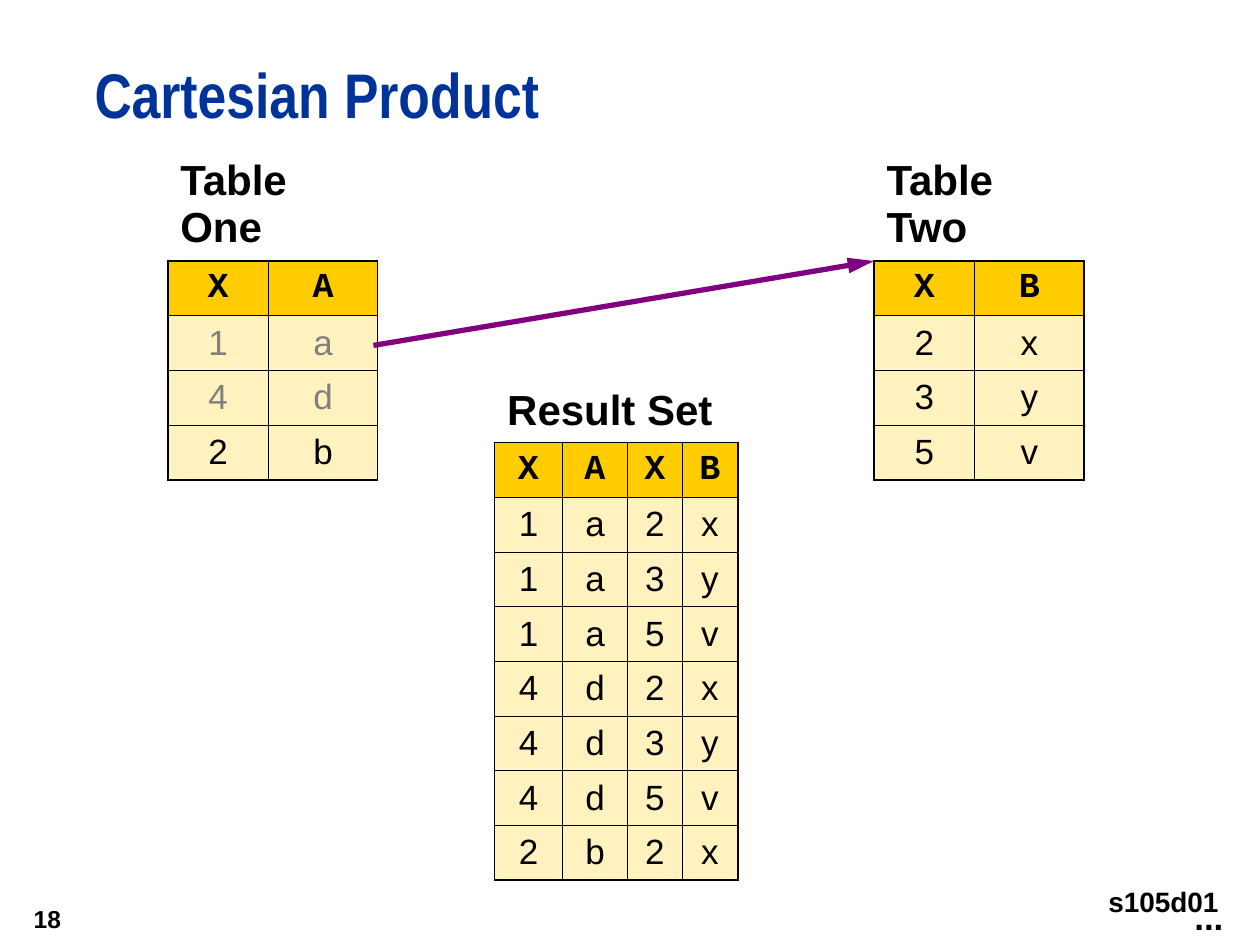
from lxml import etree
from pptx import Presentation
from pptx.dml.color import RGBColor
from pptx.enum import shapes, text
from pptx.oxml.ns import qn
from pptx.util import Pt

BLACK, GRAY = "000000", "808080"
THICK, THIN = 1.08, 0.45
CENTER, RIGHT = text.PP_ALIGN.CENTER, text.PP_ALIGN.RIGHT
MIDDLE = text.MSO_ANCHOR.MIDDLE


def rgb(code):
    return RGBColor.from_string(code)


def put(frame, words, size, face="Arial", color=BLACK, bold=True, **para):
    """Write one paragraph; extra names are paragraph settings."""
    line = frame.paragraphs[0]
    run = line.add_run()
    run.text = words
    for key, val in para.items():
        setattr(line, key, val)
    for key, val in {"size": Pt(size), "name": face, "bold": bold}.items():
        setattr(run.font, key, val)
    run.font.color.rgb = rgb(color)


def add_label(slide, box, words, size, pad=(7.2, 3.6), wrap=False,
              anchor=text.MSO_ANCHOR.TOP, **style):
    frame = slide.shapes.add_textbox(*map(Pt, box)).text_frame
    side, end = map(Pt, pad)
    form = {"margin_left": side, "margin_right": side, "margin_top": end,
            "margin_bottom": end, "word_wrap": wrap, "vertical_anchor": anchor}
    for key, val in form.items():
        setattr(frame, key, val)
    put(frame, words, size, **style)


def edge(cell, widths):
    """Draw left, right, top and bottom borders; zero means no border."""
    props = cell._tc.get_or_add_tcPr()
    for spot, (side, width) in enumerate(zip("LRTB", widths)):
        line = etree.Element(qn(f"a:ln{side}"), w=str(Pt(width)))
        if width:
            fill = etree.SubElement(line, qn("a:solidFill"))
            etree.SubElement(fill, qn("a:srgbClr"), val=BLACK)
        else:
            etree.SubElement(line, qn("a:noFill"))
        props.insert(spot, line)


def add_grid(slide, left, top, cols, highs, title, rows, dim=()):
    """Build a captioned table.

    highs holds the caption and row heights; dim lists the gray body rows.
    """
    last, end = len(rows), len(cols) - 1
    first, rest = highs
    table = slide.shapes.add_table(last + 1, len(cols), Pt(left), Pt(top),
                                   Pt(sum(cols)), Pt(first + rest * last)).table
    table.first_row = table.horz_banding = False
    for col, width in zip(table.columns, cols):
        col.width = Pt(width)
    for r, row in enumerate(table.rows):
        row.height = Pt(rest if r else first)
        for c, cell in enumerate(row.cells):
            cell.vertical_anchor = MIDDLE
            if r == 0:
                cell.fill.background()
                edge(cell, (0, 0, 0, THICK))
                continue
            head = r == 1
            cell.fill.solid()
            cell.fill.fore_color.rgb = rgb("FFCC00" if head else "FFF2BE")
            put(cell.text_frame, rows[r - 1][c], 20,
                "Courier New" if head else "Arial",
                GRAY if r - 1 in dim else BLACK, head, alignment=CENTER)
            outer = (c == 0, c == end, head, r == last)
            edge(cell, [THICK if out else THIN for out in outer])
    table.cell(0, 0).merge(table.cell(0, end))
    put(table.cell(0, 0).text_frame, title, 24)


def add_arrow(slide, start, end):
    line = slide.shapes.add_connector(shapes.MSO_CONNECTOR.STRAIGHT,
                                      *map(Pt, start + end))
    line.line.width = Pt(3)
    line.line.color.rgb = rgb("800080")
    etree.SubElement(line.line._get_or_add_ln(), qn("a:tailEnd"),
                     type="triangle", w="med", len="lg")
    etree.SubElement(line._element.spPr, qn("a:effectLst"))


def main():
    deck = Presentation()
    deck.slide_width, deck.slide_height = Pt(720), Pt(540)
    slide = deck.slides.add_slide(deck.slide_layouts[6])

    add_label(slide, (54, 36, 666, 54), "Cartesian Product", 36, (0, 0), True,
              face="Arial Narrow", color="003399", line_spacing=Pt(39))

    one, two = ["1a", "4d", "2b"], ["2x", "3y", "5v"]
    pairs = [a + b for a in one for b in two][:7]
    pair, highs = (57.6, 62.4), (60.4, 29.7)
    add_grid(slide, 95.8, 84.4, pair, highs, "Table One", ["XA"] + one, (1, 2))
    add_grid(slide, 499.4, 84.4, pair, highs, "Table Two", ["XB"] + two)
    add_grid(slide, 282.6, 216.7, (38.8, 37.2, 31.2, 31.8), (36.2, 31.2),
             "Result Set", ["XAXB"] + pairs)
    add_arrow(slide, (213.4, 197.4), (499.4, 149.2))

    add_label(slide, (0, 510, 42, 30), "18", 14, anchor=MIDDLE, alignment=RIGHT)
    add_label(slide, (675.4, 508.3, 31, 31.7), "...", 20)
    add_label(slide, (621.4, 498.2, 82, 33), "s105d01", 16, (7.2, 7.2),
              alignment=RIGHT)
    deck.save("out.pptx")


if __name__ == "__main__":
    main()
